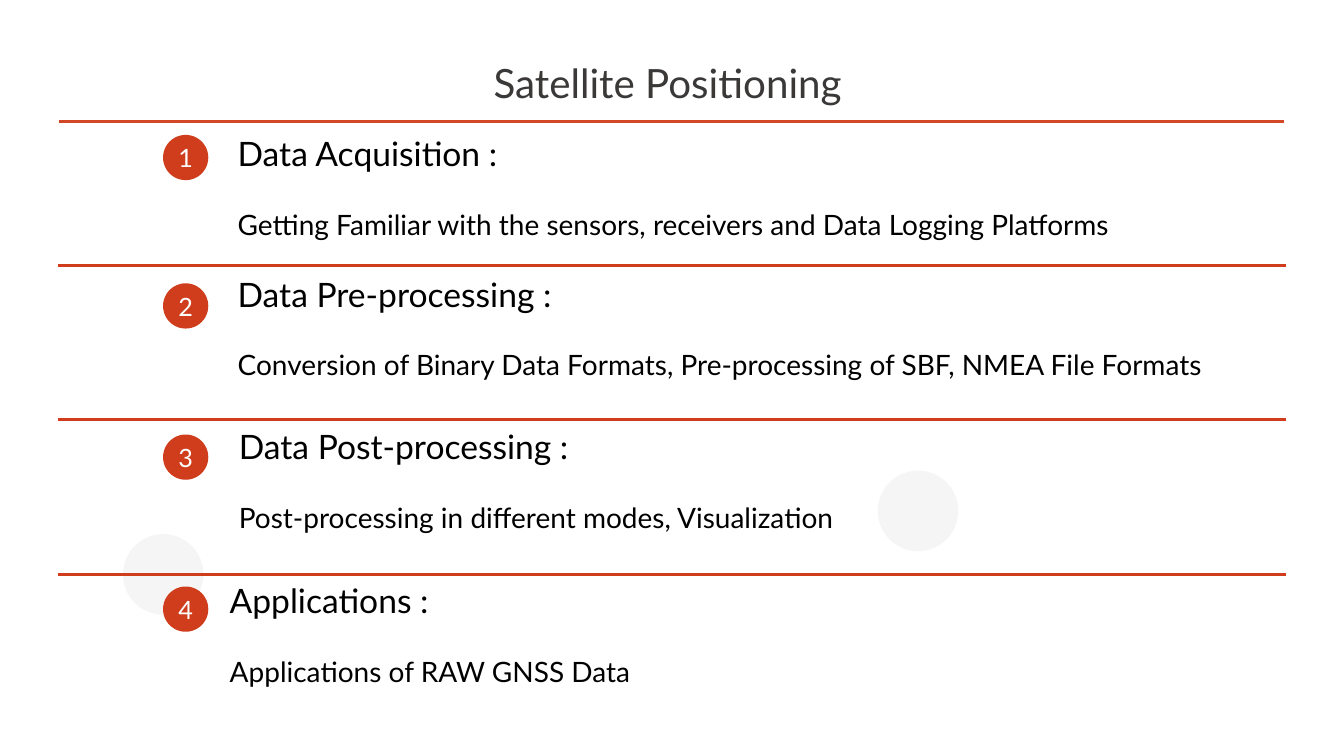
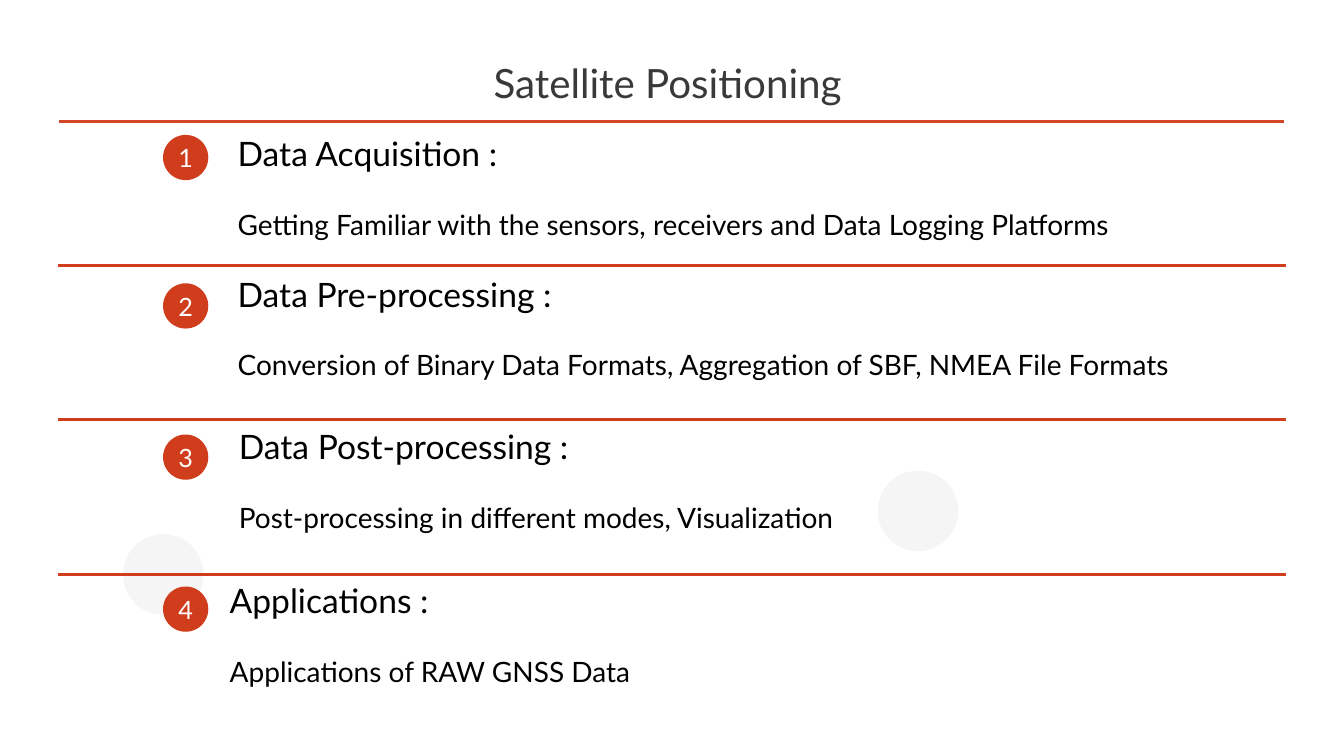
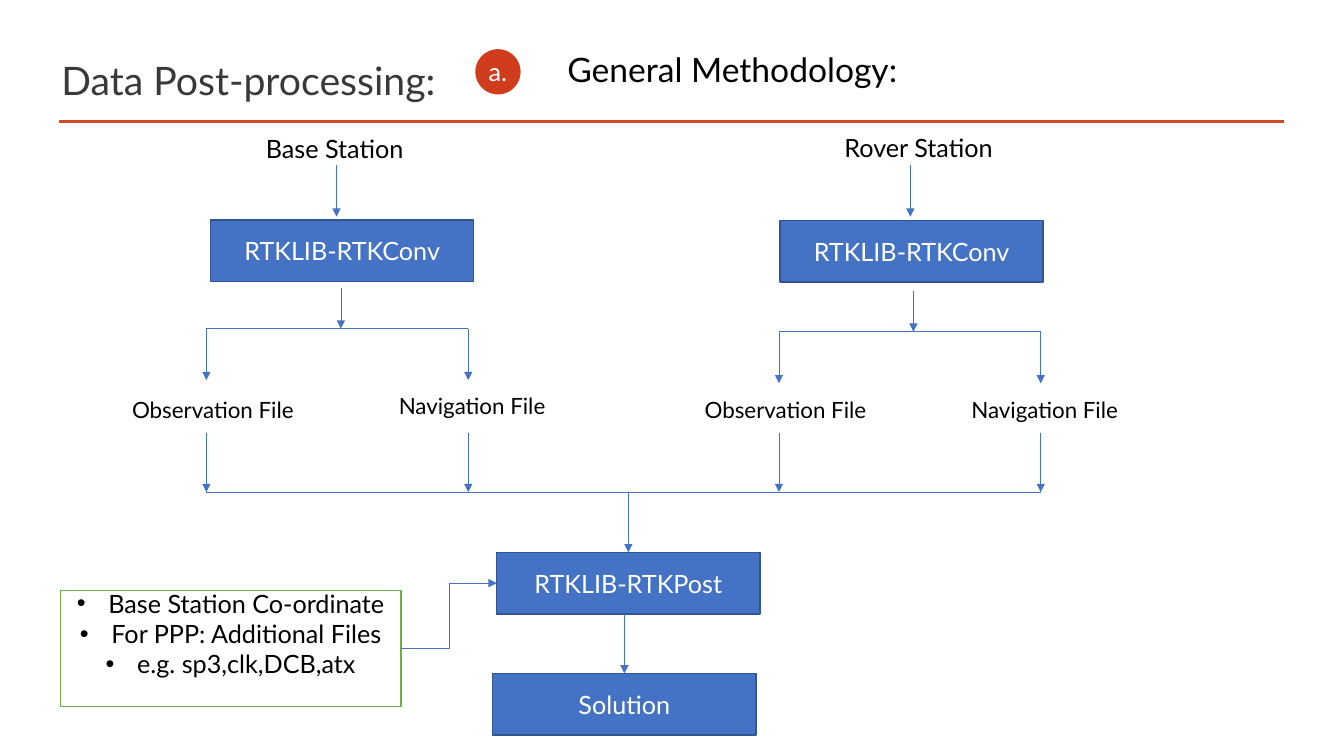
from typing import NamedTuple

from lxml import etree
from pptx import Presentation
from pptx.dml.color import RGBColor
from pptx.enum.shapes import MSO_CONNECTOR, MSO_SHAPE
from pptx.enum.text import MSO_ANCHOR, PP_ALIGN
from pptx.oxml.ns import qn
from pptx.util import Cm, Pt

STRAIGHT, ELBOW = MSO_CONNECTOR.STRAIGHT, MSO_CONNECTOR.ELBOW
RECTANGLE, OVAL = MSO_SHAPE.RECTANGLE, MSO_SHAPE.OVAL
TOP, MIDDLE = MSO_ANCHOR.TOP, MSO_ANCHOR.MIDDLE
LEFT, CENTER = PP_ALIGN.LEFT, PP_ALIGN.CENTER
TOP_SIDE, LEFT_SIDE, RIGHT_SIDE = 0, 1, 3

FONT = "Lato"
COLORS = {
    "title": "3B3838",
    "header_rule": "D24726",
    "accent": "CF3D1C",
    "pale": "F5F5F5",
    "flow": "4472C4",
    "flow_edge": "325491",
    "input_edge": "70AD47",
    "text": "000000",
    "white": "FFFFFF",
}

STEP_WIDTH, STEP_HEIGHT = 6.63, 1.55
BADGE_SIZE = 1.14
FORK_SPAN = 6.6
MERGE_Y = 12.4


class Topic(NamedTuple):
    heading: str
    detail: str
    badge_y: float
    text_x: float
    text_y: float


class Station(NamedTuple):
    name: str
    name_x: float
    name_y: float
    arrow_x: float
    step_x: float
    step_y: float
    fork_x: float
    fork_y: float
    navigation_y: float


STATIONS = [
    Station("Base Station", 6.45, 3.23, 8.48, 5.31, 5.54, 5.2, 8.28, 9.75),
    Station("Rover Station", 21.03, 3.2, 22.94, 19.66, 5.56, 19.63, 8.36, 9.86),
]


def rgb(name):
    return RGBColor.from_string(COLORS[name])


def style(paragraph, size, color="text", align=LEFT):
    paragraph.alignment = align
    paragraph.font.name = FONT
    paragraph.font.size = Pt(size)
    paragraph.font.color.rgb = rgb(color)


def add_label(slide, x, y, width, height, text, size, color="text", anchor=TOP):
    frame = slide.shapes.add_textbox(Cm(x), Cm(y), Cm(width), Cm(height)).text_frame
    frame.word_wrap = True
    frame.vertical_anchor = anchor
    frame.text = text
    style(frame.paragraphs[0], size, color)
    return frame


def add_heading(slide, x, y, width, heading, detail=None):
    """Heading with tight fixed leading, and an optional line of detail."""
    frame = add_label(slide, x, y, width, 3.7 if detail else 1.2, heading, 24)
    if detail:
        paragraph = frame.add_paragraph()
        paragraph.text = detail
        paragraph.space_before = Pt(10)
        style(paragraph, 20)
    for paragraph in frame.paragraphs:
        paragraph.line_spacing = Pt(18)
        paragraph.space_after = Pt(20)


def add_filled(slide, kind, x, y, width, height, fill, edge=None):
    shape = slide.shapes.add_shape(kind, Cm(x), Cm(y), Cm(width), Cm(height))
    shape.shadow.inherit = False
    shape.fill.solid()
    shape.fill.fore_color.rgb = rgb(fill)
    if edge:
        shape.line.color.rgb = rgb(edge)
        shape.line.width = Pt(1)
    else:
        shape.line.fill.background()
    shape.text_frame.vertical_anchor = MIDDLE
    return shape


def add_badge(slide, x, y, mark):
    badge = add_filled(slide, OVAL, x, y, BADGE_SIZE, BADGE_SIZE, "accent")
    frame = badge.text_frame
    frame.margin_left = frame.margin_right = frame.margin_top = frame.margin_bottom = 0
    frame.word_wrap = False
    frame.text = mark
    style(frame.paragraphs[0], 18, "white", CENTER)


def add_step(slide, x, y, text):
    step = add_filled(slide, RECTANGLE, x, y, STEP_WIDTH, STEP_HEIGHT, "flow", "flow_edge")
    step.text_frame.text = text
    style(step.text_frame.paragraphs[0], 18, "white", CENTER)
    return step


def add_line(slide, start, end, color="flow", width=0.5, arrow=False, kind=STRAIGHT):
    line = slide.shapes.add_connector(kind, *(Cm(v) for v in (*start, *end)))
    line.line.color.rgb = rgb(color)
    line.line.width = Pt(width)
    properties = line._element.spPr
    if arrow:
        etree.SubElement(properties.find(qn("a:ln")), qn("a:tailEnd"), type="triangle")
    etree.SubElement(properties, qn("a:effectLst"))
    return line


def add_down_arrow(slide, x, top, bottom):
    return add_line(slide, (x, top), (x, bottom), arrow=True)


def add_bullet(paragraph):
    properties = paragraph._p.get_or_add_pPr()
    properties.set("marL", str(Cm(0.79)))
    properties.set("indent", str(-Cm(0.79)))
    etree.SubElement(properties, qn("a:buFont"), typeface="Arial")
    etree.SubElement(properties, qn("a:buChar"), char="•")


def add_inputs(slide, items):
    box = add_filled(slide, RECTANGLE, 1.52, 14.88, 8.59, 2.92, "white", "input_edge")
    frame = box.text_frame
    frame.margin_top, frame.margin_bottom = 0, Cm(0.76)
    frame.text = "\n".join(items)
    for paragraph in frame.paragraphs:
        add_bullet(paragraph)
        style(paragraph, 18, align=CENTER)
    return box


def add_titled_slide(deck, title, x, y, width, size):
    slide = deck.slides.add_slide(deck.slide_layouts[6])
    add_line(slide, (1.48, 3.07), (32.36, 3.07), "header_rule", 2)
    add_label(slide, x, y, width, 1.55, title, size, "title", MIDDLE)
    return slide


def add_overview(deck, preprocessing):
    topics = [
        Topic("Data Acquisition :",
              "Getting Familiar with the sensors, receivers and Data Logging Platforms",
              3.4, 5.74, 3.61),
        Topic("Data Pre-processing :",
              f"Conversion of Binary Data Formats, {preprocessing} of SBF, NMEA File Formats",
              7.14, 5.74, 7.16),
        Topic("Data Post-processing :",
              "Post-processing in different modes, Visualization",
              10.95, 5.77, 11),
        Topic("Applications :", "Applications of RAW GNSS Data", 14.78, 5.54, 14.88),
    ]
    slide = add_titled_slide(deck, "Satellite Positioning", 12.19, 1.3, 20, 28.8)
    for x, y in ((3.1, 13.46), (22.12, 11.86)):
        add_filled(slide, OVAL, x, y, 2.03, 2.03, "pale")
    for gap in range(len(topics) - 1):
        y = 6.68 + 3.9 * gap
        add_line(slide, (1.45, y), (32.41, y), "accent", 2.25)
    for number, topic in enumerate(topics, 1):
        add_badge(slide, 4.11, topic.badge_y, str(number))
        add_heading(slide, topic.text_x, topic.text_y, 27.13, topic.heading, topic.detail)


def add_station(slide, station):
    """Flow from a station through conversion to its two files."""
    add_label(slide, station.name_x, station.name_y, 5.46, 1.02, station.name, 18)
    add_down_arrow(slide, station.arrow_x, 4.17, 5.46)
    add_step(slide, station.step_x, station.step_y, "RTKLIB-RTKConv")

    left, right, y = station.fork_x, station.fork_x + FORK_SPAN, station.fork_y
    add_down_arrow(slide, left + 3.39, y - 1.03, y)
    add_line(slide, (left, y), (right, y))
    for x in (left, right):
        add_down_arrow(slide, x, y, y + 1.3)
        add_down_arrow(slide, x, 10.92, MERGE_Y)
    add_label(slide, left - 2.12, 9.86, 5.46, 0.94, "Observation File", 16)
    add_label(slide, right - 2, station.navigation_y, 5.46, 0.94, "Navigation File", 16)


def add_methodology(deck):
    slide = add_titled_slide(deck, "Data Post-processing:", 1.3, 1.24, 10.5, 28)
    add_badge(slide, 11.98, 1.24, "a.")
    add_heading(slide, 14.05, 1.5, 18, "General Methodology:")
    for station in STATIONS:
        add_station(slide, station)
    add_line(slide, (STATIONS[0].fork_x, MERGE_Y), (STATIONS[-1].fork_x + FORK_SPAN, MERGE_Y))

    post = add_step(slide, 12.52, 13.92, "RTKLIB-RTKPost")
    solution = add_step(slide, 12.42, 16.97, "Solution")
    add_down_arrow(slide, 15.84, MERGE_Y, 13.92).end_connect(post, TOP_SIDE)
    add_down_arrow(slide, 15.74, 15.47, 16.97).end_connect(solution, TOP_SIDE)

    inputs = add_inputs(slide, ["Base Station Co-ordinate",
                                "For PPP: Additional Files",
                                "e.g. sp3,clk,DCB,atx"])
    feed = add_line(slide, (10.11, 16.34), (12.52, 14.7), arrow=True, kind=ELBOW)
    feed.begin_connect(inputs, RIGHT_SIDE)
    feed.end_connect(post, LEFT_SIDE)


def main():
    deck = Presentation()
    deck.slide_width, deck.slide_height = Cm(33.87), Cm(19.05)
    add_overview(deck, "Pre-processing")
    add_overview(deck, "Aggregation")
    add_methodology(deck)
    deck.save("out.pptx")


if __name__ == "__main__":
    main()
